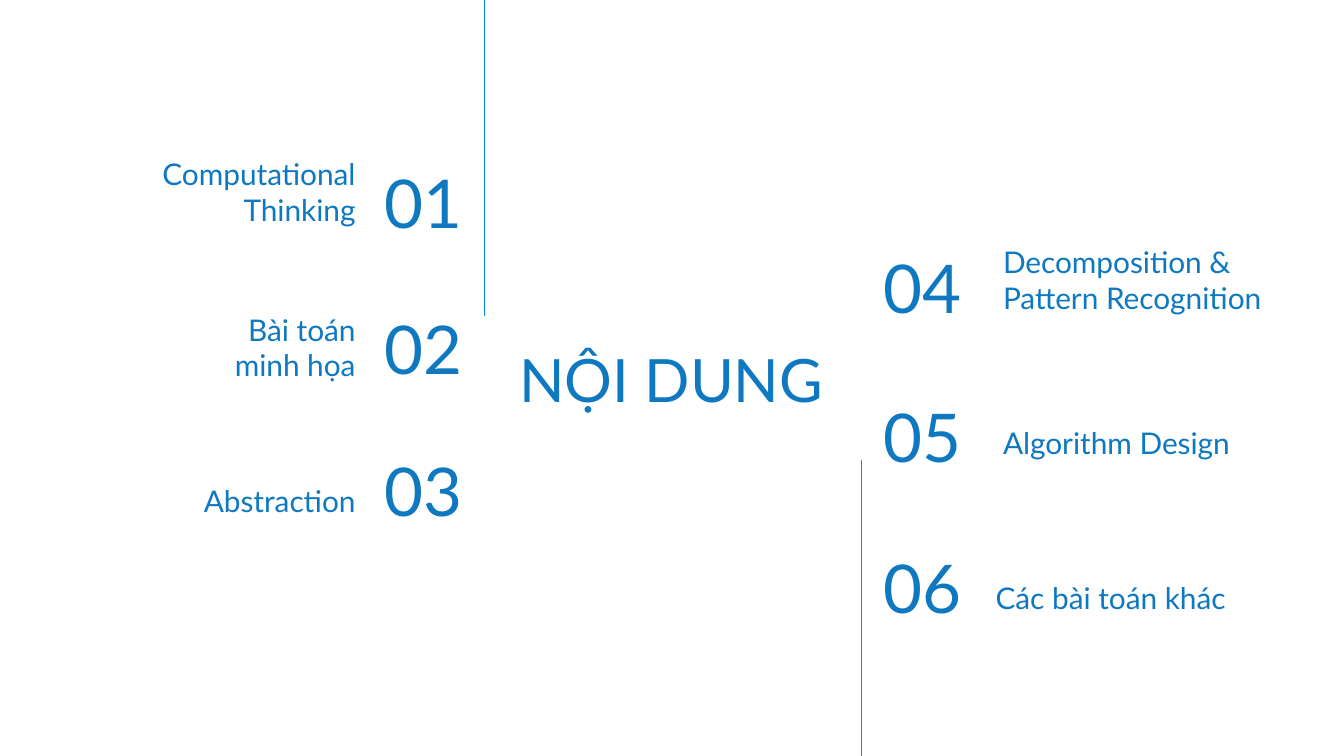
from dataclasses import dataclass

import pptx
import pptx.dml.color
import pptx.enum.shapes
import pptx.enum.text
import pptx.oxml.ns
import pptx.util
from lxml import etree

Align = pptx.enum.text.PP_ALIGN
Anchor = pptx.enum.text.MSO_ANCHOR

WIDE = 10
HIGH = WIDE * 9 / 16
COLS, ROWS = 100, 56.25
FONT, BLUE, SKY = "Lato", "0E78C0", "0091EA"
BOX_ROWS = 6.3


@dataclass
class Side:
    align: Align
    num_col: float
    num_span: float


@dataclass
class Item:
    side: Side
    num: str
    num_row: float
    text: str
    col: float
    row: float
    span: float = 21.7


@dataclass
class Rule:
    col: float
    top: float
    end: float


LEFT = Side(Align.RIGHT, 23.3, 12.1)
RIGHT = Side(Align.LEFT, 64.75, 11.7)

ITEMS = [
    Item(LEFT, "01", 11.85, "Computational Thinking", 5.75, 11.6),
    Item(LEFT, "02", 22.7, "Bài toán\nminh họa", 5.75, 23.2),
    Item(LEFT, "03", 33.3, "Abstraction", 5.75, 33.3),
    Item(RIGHT, "04", 18.2, "Decomposition &\nPattern Recognition", 73.65, 18.2, 23.6),
    Item(RIGHT, "05", 29.3, "Algorithm Design", 73.65, 29),
    Item(RIGHT, "06", 40.5, "Các bài toán khác", 73.1, 40.5),
]
RULES = [Rule(36.05, 0, 23.5), Rule(64.1, 34.2, ROWS)]


def across(cols: float) -> int:
    return pptx.util.Inches(WIDE * cols / COLS)


def down(rows: float) -> int:
    return pptx.util.Inches(HIGH * rows / ROWS)


def tint(code: str) -> pptx.dml.color.RGBColor:
    return pptx.dml.color.RGBColor.from_string(code)


def write(shape, text: str, size: float, align: Align, anchor: Anchor) -> None:
    frame = shape.text_frame
    frame.text = text
    frame.word_wrap = True
    frame.auto_size = pptx.enum.text.MSO_AUTO_SIZE.NONE
    frame.vertical_anchor = anchor
    pad = pptx.util.Inches(0.1)
    frame.margin_left = frame.margin_right = pad
    frame.margin_top = frame.margin_bottom = pad
    for para in frame.paragraphs:
        para.alignment = align
        para.font.name = FONT
        para.font.size = pptx.util.Pt(size)
        para.font.color.rgb = tint(BLUE)


def add_head(slide, text: str) -> None:
    head = slide.shapes.title
    head.left, head.top = across(37), down(23)
    head.width, head.height = across(25.9), down(10.3)
    write(head, text, 32, Align.CENTER, Anchor.MIDDLE)


def add_item(slide, item: Item) -> None:
    side = item.side
    num = slide.shapes.add_textbox(
        across(side.num_col), down(item.num_row), across(side.num_span), down(BOX_ROWS))
    write(num, item.num, 36, side.align, Anchor.MIDDLE)
    label = slide.shapes.add_textbox(
        across(item.col), down(item.row), across(item.span), down(BOX_ROWS))
    write(label, item.text, 16, side.align, Anchor.BOTTOM)


def add_rule(slide, rule: Rule) -> None:
    line = slide.shapes.add_connector(
        pptx.enum.shapes.MSO_CONNECTOR.STRAIGHT,
        across(rule.col), down(rule.top), across(rule.col), down(rule.end))
    line.line.color.rgb = tint(SKY)
    line.line.width = pptx.util.Pt(0.75)
    props = line._element.spPr
    etree.SubElement(props, pptx.oxml.ns.qn("a:effectLst"))


def main() -> None:
    deck = pptx.Presentation()
    deck.slide_width, deck.slide_height = across(COLS), down(ROWS)
    slide = deck.slides.add_slide(deck.slide_layouts[5])
    add_head(slide, "NỘI DUNG")
    for rule in RULES:
        add_rule(slide, rule)
    for item in ITEMS:
        add_item(slide, item)
    deck.save("out.pptx")


if __name__ == "__main__":
    main()
